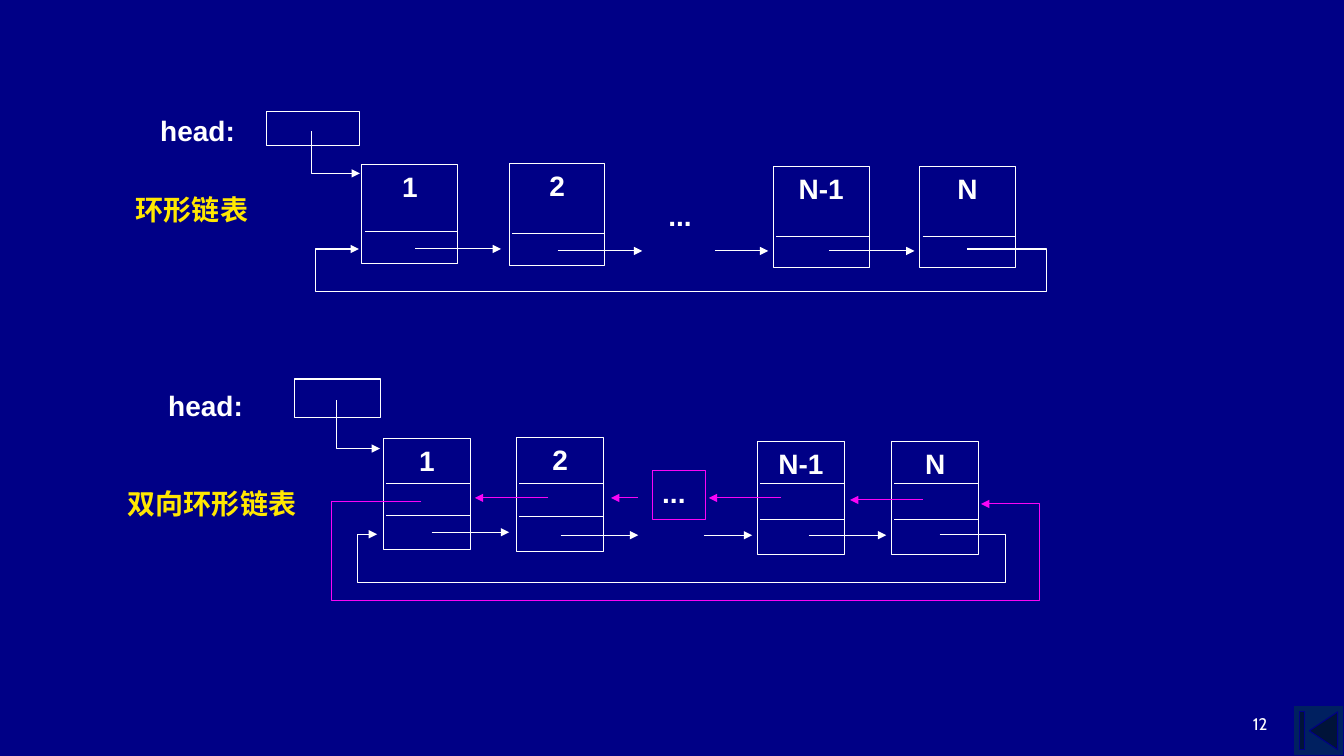
import dataclasses

import lxml.etree
import pptx
import pptx.dml.color
import pptx.enum.shapes
import pptx.enum.text
import pptx.oxml.ns
import pptx.util

SHAPE = pptx.enum.shapes.MSO_SHAPE
ALIGN = pptx.enum.text.PP_ALIGN
ANCHOR = pptx.enum.text.MSO_ANCHOR
SLIDE_WIDTH, SLIDE_HEIGHT = 13.33, 7.5
GRID = SLIDE_HEIGHT / 75  # the slide is 75 rows high, with square cells


@dataclasses.dataclass(frozen=True)
class Theme:
    background: str = "000086"
    ink: str = "FFFFFF"
    title: str = "FFE701"
    back_link: str = "F905F6"
    button: str = "002060"
    font: str = "Arial"
    number_font: str = "Cabin"
    text_size: float = 20
    number_size: float = 12
    line_width: float = 0.75


THEME = Theme()


def cells(count):
    return pptx.util.Inches(round(count * GRID, 2))


def color(code):
    return pptx.dml.color.RGBColor.from_string(code)


def style_line(item, code, arrow=False):
    item.line.color.rgb = color(code)
    item.line.width = pptx.util.Pt(THEME.line_width)
    if arrow:
        properties = item.line._get_or_add_ln()
        lxml.etree.SubElement(properties, pptx.oxml.ns.qn("a:tailEnd"), type="triangle")


def write(shape, text, align, code=THEME.ink, font=THEME.font, size=THEME.text_size,
          bold=True, anchor=ANCHOR.TOP):
    frame = shape.text_frame
    frame.word_wrap = True
    frame.vertical_anchor = anchor
    paragraph = frame.paragraphs[0]
    paragraph.alignment = align
    run = paragraph.add_run()
    run.text = text
    run.font.name = font
    run.font.size = pptx.util.Pt(size)
    run.font.bold = bold
    run.font.color.rgb = color(code)


class Region:
    """A group whose parts are placed in grid cells from its top left corner."""

    def __init__(self, slide, left, top):
        self.shapes = slide.shapes.add_group_shape().shapes
        self.left, self.top = left, top

    def point(self, x, y):
        return cells(self.left + x), cells(self.top + y)

    def label(self, text, box, code=THEME.ink):
        x, y, width, height = box
        shape = self.shapes.add_textbox(*self.point(x, y), cells(width), cells(height))
        write(shape, text, ALIGN.JUSTIFY, code)

    def rectangle(self, box, text="", code=THEME.ink, align=ALIGN.CENTER):
        x, y, width, height = box
        shape = self.shapes.add_shape(
            SHAPE.RECTANGLE, *self.point(x, y), cells(width), cells(height))
        shape.shadow.inherit = False
        shape.fill.background()
        style_line(shape, code)
        if text:
            write(shape, text, align)

    def line(self, start_x, end_x, y, code=THEME.ink, arrow=False):
        connector = self.shapes.add_connector(
            pptx.enum.shapes.MSO_CONNECTOR.STRAIGHT,
            *self.point(start_x, y), *self.point(end_x, y))
        style_line(connector, code, arrow)
        lxml.etree.SubElement(connector._element.spPr, pptx.oxml.ns.qn("a:effectLst"))

    def path_arrow(self, points, code=THEME.ink):
        start, *others = [self.point(x, y) for x, y in points]
        builder = self.shapes.build_freeform(*start)
        builder.add_line_segments(others, close=False)
        shape = builder.convert_to_shape()
        shape.shadow.inherit = False
        shape.fill.background()
        style_line(shape, code, arrow=True)

    def nodes(self, width, entries):
        """Draw nodes given as (text, left, top, height, rule offsets)."""
        for text, left, top, height, rules in entries:
            self.rectangle((left, top, width, height), text)
            for rule in rules:
                self.line(left + 0.3, left + width, top + rule)

    def links(self, entries, code=THEME.ink):
        for start_x, end_x, y in entries:
            self.line(start_x, end_x, y, code, arrow=True)


def draw_circular_list(slide, left, top):
    region = Region(slide, left, top)
    region.label("head:", (2.4, 0, 12.9, 3.5))
    region.label("环形链表", (0, 7.8, 14.7, 4), THEME.title)
    region.rectangle((13.9, 0.3, 9.3, 3.3))
    region.path_arrow([(18.4, 2.2), (18.4, 6.4), (23.2, 6.4)])
    region.nodes(9.5, [
        ("1", 23.4, 5.5, 9.8, [6.7]),
        ("2", 38, 5.4, 10.1, [7]),
        ("N-1", 64.2, 5.7, 10, [7]),
        ("N", 78.7, 5.7, 10, [7]),
    ])
    region.label("...", (52.8, 8.4, 5.9, 4.3))
    region.links([(28.7, 37.2, 13.9), (42.8, 51.2, 14.1),
                  (58.4, 63.7, 14.1), (69.7, 78.2, 14.1)])
    region.path_arrow([(83.4, 13.9), (91.3, 13.9), (91.3, 18.1),
                       (18.8, 18.1), (18.8, 13.9), (23.1, 13.9)])


def draw_double_circular_list(slide, left, top):
    region = Region(slide, left, top)
    region.label("head:", (4, 0.4, 13.6, 4.1))
    region.label("双向环形链表", (0, 10.2, 22, 5.7), THEME.title)
    region.rectangle((17.5, 0, 8.5, 3.8))
    region.path_arrow([(21.7, 2.1), (21.7, 6.9), (26, 6.9)])
    region.nodes(8.7, [
        ("1", 26.3, 5.9, 11, [4.5, 7.6]),
        ("2", 39.5, 5.8, 11.3, [4.6, 7.8]),
        ("N-1", 63.4, 6.2, 11.2, [4.2, 7.7]),
        ("N", 76.7, 6.2, 11.2, [4.2, 7.7]),
    ])
    region.rectangle((53, 9.1, 5.3, 4.8), "...", THEME.back_link, ALIGN.JUSTIFY)
    region.links([(31.1, 38.8, 15.2), (43.9, 51.6, 15.5),
                  (58.1, 62.9, 15.5), (68.5, 76.2, 15.5)])
    region.links([(79.8, 72.6, 12), (65.8, 58.6, 11.8),
                  (51.6, 48.9, 11.8), (42.7, 35.4, 11.8)], THEME.back_link)
    region.path_arrow([(81.5, 15.4), (88, 15.4), (88, 20.2),
                       (23.8, 20.2), (23.8, 15.4), (25.7, 15.4)])
    region.path_arrow([(30.1, 12.2), (21.2, 12.2), (21.2, 22),
                       (91.4, 22), (91.4, 12.4), (85.6, 12.4)], THEME.back_link)


def draw_footer(slide, left, top):
    button = slide.shapes.add_shape(SHAPE.ACTION_BUTTON_BEGINNING, cells(left + 32.7),
                                    cells(top + 1.7), cells(5), cells(5))
    button.shadow.inherit = False
    button.fill.solid()
    button.fill.fore_color.rgb = color(THEME.button)
    style_line(button, THEME.background)
    number = slide.shapes.add_textbox(cells(left), cells(top), cells(31.1), cells(5))
    write(number, "12", ALIGN.RIGHT, font=THEME.number_font, size=THEME.number_size,
          bold=False, anchor=ANCHOR.BOTTOM)


def main():
    presentation = pptx.Presentation()
    presentation.slide_width = pptx.util.Inches(SLIDE_WIDTH)
    presentation.slide_height = pptx.util.Inches(SLIDE_HEIGHT)
    slide = presentation.slides.add_slide(presentation.slide_layouts[6])
    slide.background.fill.solid()
    slide.background.fill.fore_color.rgb = color(THEME.background)
    draw_footer(slide, 95.6, 68.3)
    draw_circular_list(slide, 12.5, 10.8)
    draw_double_circular_list(slide, 11.7, 37.6)
    presentation.save("out.pptx")


if __name__ == "__main__":
    main()
